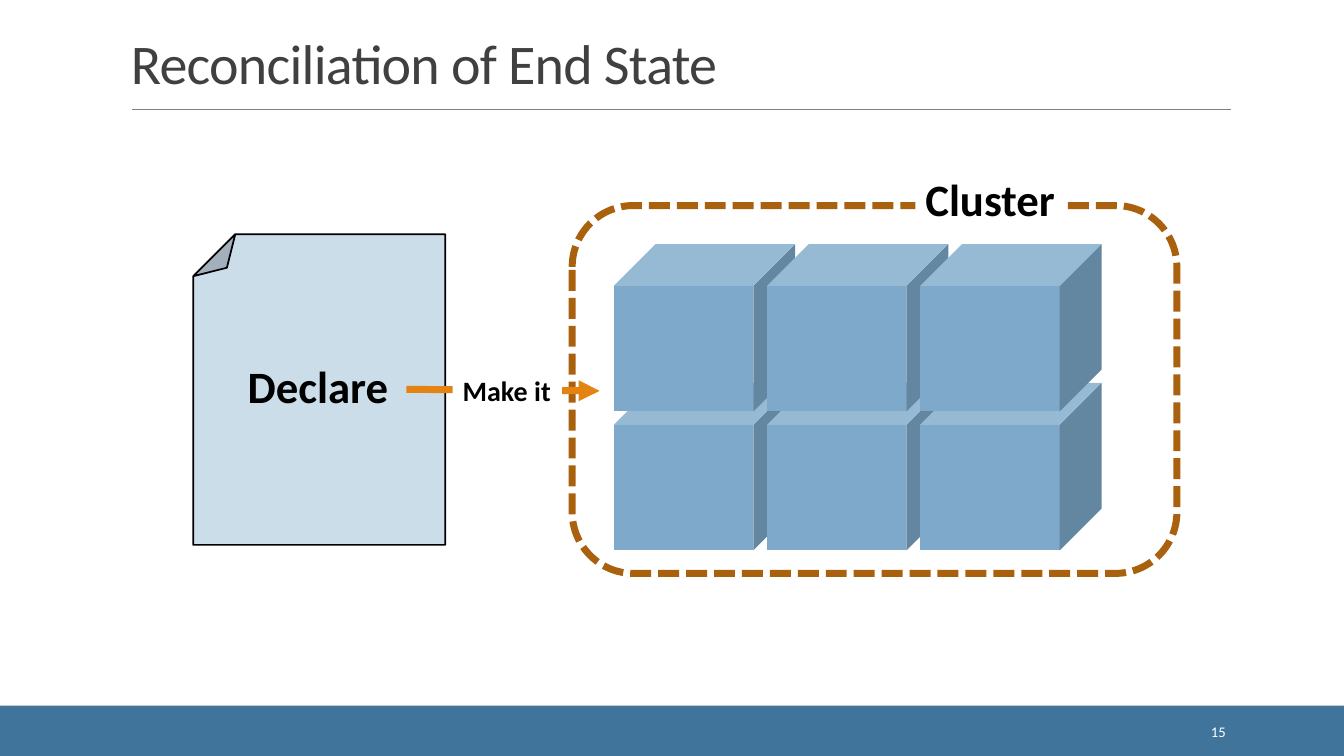
"""Build the slide on reconciling a cluster with its declared end state."""
from dataclasses import dataclass, field
from itertools import product
from typing import Any, Optional

from lxml.etree import SubElement
from pptx import Presentation
from pptx.dml.color import RGBColor
from pptx.enum.dml import MSO_LINE
from pptx.enum.shapes import MSO_CONNECTOR, MSO_SHAPE
from pptx.enum.text import MSO_ANCHOR, MSO_AUTO_SIZE, PP_ALIGN
from pptx.oxml.ns import qn
from pptx.util import Cm, Pt

WHITE = RGBColor(0xFF, 0xFF, 0xFF)
BLACK = RGBColor(0x00, 0x00, 0x00)
TITLE_GREY = RGBColor(0x40, 0x40, 0x40)
RULE_GREY = RGBColor(0x80, 0x80, 0x80)
FOOTER_BLUE = RGBColor(0x40, 0x74, 0x9B)
PAPER_BLUE = RGBColor(0xCC, 0xDD, 0xEA)
CUBE_BLUE = RGBColor(0x7E, 0xA9, 0xCA)
BORDER_BROWN = RGBColor(0xA9, 0x61, 0x0D)
ARROW_ORANGE = RGBColor(0xE4, 0x83, 0x12)

CUBE_LEFT, CUBE_PITCH = 15.47, 3.86
CUBE_ROWS = (9.65, 6.15)

FIT = {"word_wrap": False, "auto_size": MSO_AUTO_SIZE.SHAPE_TO_FIT_TEXT}


@dataclass
class Block:
    left: float
    top: float
    width: float
    height: float
    fill: Optional[RGBColor] = None
    kind: MSO_SHAPE = MSO_SHAPE.RECTANGLE
    line: Optional[RGBColor] = None
    line_width: float = 0
    dash: Optional[MSO_LINE] = None
    rotation: float = 0


@dataclass
class Label:
    text: str
    left: float
    top: float
    width: float
    height: float
    size: float
    color: RGBColor = BLACK
    bold: bool = True
    fill: Optional[RGBColor] = None
    spacing: int = 0
    frame: dict[str, Any] = field(default_factory=lambda: dict(FIT))
    para: dict[str, Any] = field(default_factory=dict)


@dataclass
class Stroke:
    start: tuple[float, float]
    end: tuple[float, float]
    color: RGBColor
    width: float
    arrow: bool = False


def set_all(target: Any, values: dict[str, Any]) -> None:
    """Set each named attribute on the target."""
    for name, value in values.items():
        setattr(target, name, value)


def draw_block(page: Any, block: Block) -> None:
    """Draw a preset shape."""
    shape = page.shapes.add_shape(
        block.kind, Cm(block.left), Cm(block.top), Cm(block.width), Cm(block.height))
    shape.shadow.inherit = False
    shape.rotation = block.rotation
    if block.fill is None:
        shape.fill.background()
    else:
        shape.fill.solid()
        shape.fill.fore_color.rgb = block.fill
    if block.line is None:
        shape.line.fill.background()
    else:
        shape.line.color.rgb = block.line
        set_all(shape.line, {"width": Pt(block.line_width), "dash_style": block.dash})


def draw_label(page: Any, label: Label) -> None:
    """Draw a text box with one line of text."""
    box = page.shapes.add_textbox(
        Cm(label.left), Cm(label.top), Cm(label.width), Cm(label.height))
    if label.fill is not None:
        box.fill.solid()
        box.fill.fore_color.rgb = label.fill
    set_all(box.text_frame, label.frame)
    para = box.text_frame.paragraphs[0]
    set_all(para, label.para)
    span = para.add_run()
    span.text = label.text
    set_all(span.font, {"name": "Calibri", "size": Pt(label.size), "bold": label.bold})
    span.font.color.rgb = label.color
    if label.spacing:
        span._r.get_or_add_rPr().set("spc", str(label.spacing))


def draw_stroke(page: Any, stroke: Stroke) -> None:
    """Draw a straight line, with an arrowhead if asked."""
    connector = page.shapes.add_connector(
        MSO_CONNECTOR.STRAIGHT, *map(Cm, stroke.start + stroke.end))
    connector.line.color.rgb = stroke.color
    connector.line.width = Pt(stroke.width)
    if stroke.arrow:
        SubElement(connector.line._get_or_add_ln(), qn("a:tailEnd"), type="triangle")
    SubElement(connector._element.spPr, qn("a:effectLst"))


DRAWERS = {Block: draw_block, Label: draw_label, Stroke: draw_stroke}

CUBES = [
    Block(CUBE_LEFT + column * CUBE_PITCH, top, 4.57, 4.22, CUBE_BLUE, MSO_SHAPE.CUBE)
    for top, column in product(CUBE_ROWS, range(3))
]

ITEMS = [
    Block(0, 17.78, 33.87, 1.27, FOOTER_BLUE),
    Stroke((3.33, 2.75), (31.01, 2.75), RULE_GREY, 0.5),
    Label("Reconciliation of End State", 3.05, 0.79, 27.94, 1.75, 40, TITLE_GREY,
          bold=False, spacing=-50,
          frame={"word_wrap": True, "vertical_anchor": MSO_ANCHOR.BOTTOM},
          para={"line_spacing": 0.85}),
    Label("15", 27.51, 17.93, 3.63, 1.02, 10.5, WHITE, bold=False,
          frame={"word_wrap": True, "vertical_anchor": MSO_ANCHOR.MIDDLE},
          para={"alignment": PP_ALIGN.RIGHT}),
    Block(4.87, 5.9, 6.35, 7.83, PAPER_BLUE, MSO_SHAPE.FOLDED_CORNER, BLACK, 1.25,
          rotation=180),
    Label("Declare", 5.99, 8.92, 4.09, 1.62, 32),
    Block(14.42, 5.18, 15.24, 9.27, None, MSO_SHAPE.ROUNDED_RECTANGLE, BORDER_BROWN, 5,
          MSO_LINE.SQUARE_DOT),
    *CUBES,
    Label("Cluster", 23.07, 4.2, 3.81, 1.62, 32, fill=WHITE),
    Stroke((10.24, 9.81), (15.11, 9.85), ARROW_ORANGE, 5, arrow=True),
    Label("Make it", 11.41, 9.28, 2.75, 1.11, 20, fill=WHITE),
]
for outline in ITEMS:
    if isinstance(outline, Block) and outline.dash is not None:
        outline.dash = MSO_LINE.DASH if outline.line is None else outline.dash


def main() -> None:
    """Build the deck and save it."""
    deck = Presentation()
    deck.slide_width, deck.slide_height = Cm(33.87), Cm(19.05)
    page = deck.slides.add_slide(deck.slide_layouts[6])
    for item in ITEMS:
        DRAWERS[type(item)](page, item)
    deck.save("out.pptx")


if __name__ == "__main__":
    main()
